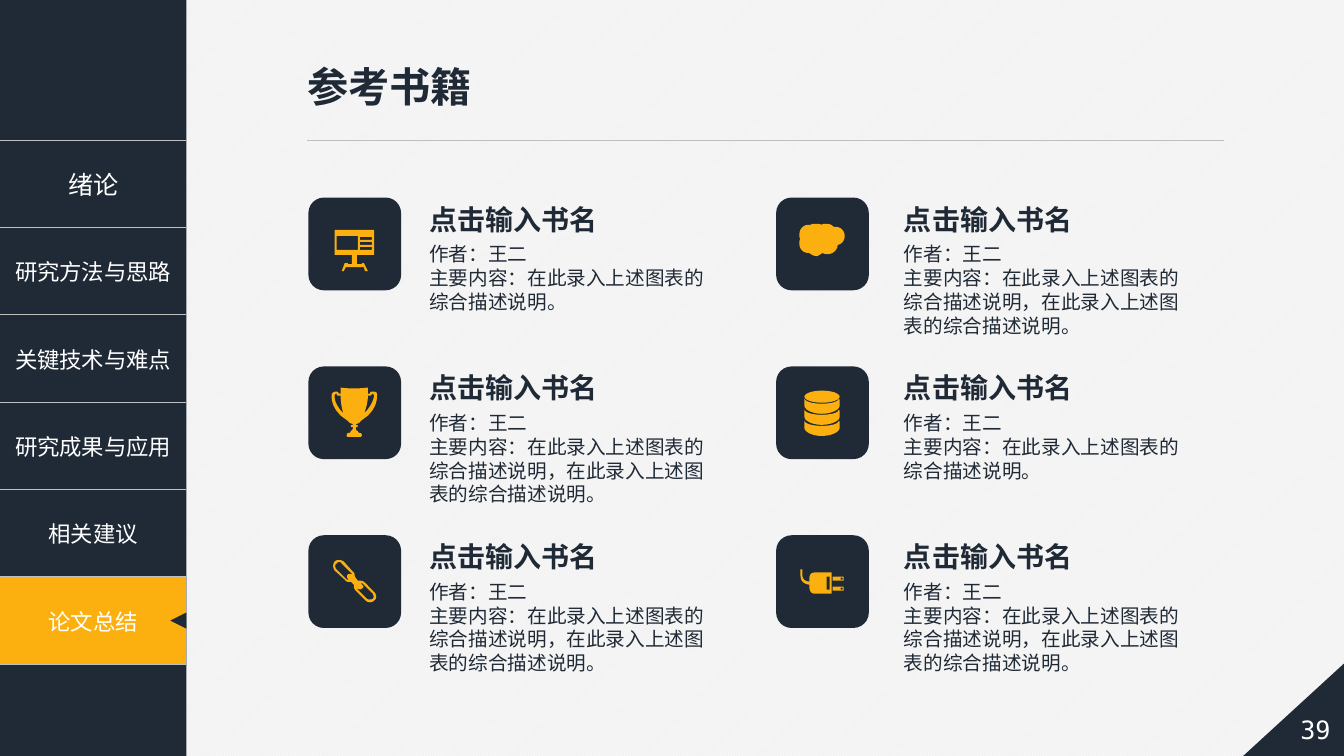
from lxml import etree
from pptx import Presentation
from pptx.dml.color import RGBColor
from pptx.enum.dml import MSO_PATTERN
from pptx.enum.lang import MSO_LANGUAGE_ID
from pptx.enum.shapes import MSO_CONNECTOR, MSO_SHAPE
from pptx.enum.text import MSO_ANCHOR, PP_ALIGN
from pptx.oxml.ns import qn
from pptx.util import Inches, Pt

RECT, ROUND = MSO_SHAPE.RECTANGLE, MSO_SHAPE.ROUNDED_RECTANGLE
OVAL, ARROW = MSO_SHAPE.OVAL, MSO_SHAPE.ISOSCELES_TRIANGLE
CORNER = MSO_SHAPE.RIGHT_TRIANGLE
STRAIGHT = MSO_CONNECTOR.STRAIGHT
HATCH = MSO_PATTERN.LIGHT_UPWARD_DIAGONAL
CHINESE = MSO_LANGUAGE_ID.SIMPLIFIED_CHINESE
LEFT, CENTER = PP_ALIGN.LEFT, PP_ALIGN.CENTER
TOP, MIDDLE = MSO_ANCHOR.TOP, MSO_ANCHOR.MIDDLE

WIDTH, HEIGHT = Inches(13.33), Inches(7.5)
COLS, ROWS = 160, 90
NAVY, GOLD, WHITE, GREY, PALE = "202A36", "FCB00F", "FFFFFF", "BFBFBF", "F2F2F2"
SANS, MONO = "Noto Sans CJK SC", "DejaVu Sans Mono"

SIDE = 22.2
RULE = 16.68
STEP = 10.4
TILE = 11.04
TILE_X, TEXT_X = (36.72, 92.4), (49.92, 106.44)
TILE_Y, PITCH = 23.52, 20.1
FINE = 100
STEPS = 6

MENU = ["绪论", "研究方法与思路", "关键技术与难点", "研究成果与应用", "相关建议", "论文总结"]
SHORT = "主要内容：在此录入上述图表的综合描述说明。"
LONG = "主要内容：在此录入上述图表的综合描述说明，在此录入上述图表的综合描述说明。"


def box(x, y, w, h):
    return f"{x} {y};{x + w} {y};{x + w} {y + h};{x} {y + h}"


def band(y):
    return (f"62 {y};62 {y + 3} 55 {y + 5} 45 {y + 5};36 {y + 5} 29 {y + 3} 28 {y};28 {y + 7};"
            f"28 {y + 11} 36 {y + 15} 45 {y + 15};55 {y + 15} 63 {y + 11} 63 {y + 7};63 {y + 1}")


BOARD = ["65 57;65 32;26 32;26 57;43 57;43 66;39 66;39 65;36 65;33 73;35 73;37 69;55 69;"
         "56 73;59 73;55 65;53 65;53 66;48 66;48 57",
         *[box(51, y, 12, 3) for y in (39, 44, 49)], box(28, 38, 21, 14)]
CLOUD = ["68 38;68 33 64 29 59 29;57 29;55 27 53 26 50 26;48 26 46 26 45 27;43 26 41 26 40 26;"
         "37 26 36 26 34 27;32 27;27 27 23 31 23 37;23 38 23 40 24 41;23 42 23 44 23 46;"
         "23 51 27 55 32 55;33 55;34 56 37 58 40 58;42 58 44 56 46 55;48 56 49 56 52 56;"
         "56 56 61 52 61 47;65 46 68 43 68 38"]
CUP = ["52 54;69 44 68 30 68 30;68 29;68 29 69 25 65 25;63 25;61 25 61 27 61 27;59 27;59 21;"
       "43 23 32 21 32 21;32 27;30 27;30 27 30 25 28 25;27 25;23 25 23 29 23 29;23 30;"
       "23 30 22 44 39 54;39 54 41 57 44 57;44 58;44 58 42 58 42 59;42 61 44 60 44 60;44 62;"
       "44 62 43 64 42 64;42 66 40 66 40 66;40 66 38 66 38 68;38 68 37 70 40 70;51 70;"
       "53 70 53 68 53 68;53 68 53 66 51 66;49 66 49 64 49 64;49 64 47 64 47 62;47 60;"
       "47 60 49 61 49 59;49 58 47 58 47 58;47 57;49 57 51 56 52 54",
       "59 29;61 29;63 29 63 27 63 27;65 27 65 29 65 29;65 30;65 30 64 38 55 47;57 43 59 35 59 29",
       "35 47;26 38 26 31 26 31;26 29;26 29 26 27 28 27;28 27 28 29 29 29;32 29;32 35 33 43 35 47"]
CHAIN = ["65 56;56 47;54 45 52 45 49 45;46 41;46 40 46 37 44 36;35 26;32 24 28 24 26 26;"
         "24 29 24 32 26 35;36 44;37 46 40 47 42 46;45 49;45 51 45 53 47 55;57 65;"
         "59 67 63 67 65 65;68 63 68 59 65 56",
         "37 43;28 34;26 32 26 29 28 28;29 26 32 26 33 28;42 37;43 37 43 39 43 39;"
         "42 38 40 38 39 39;38 40 38 42 39 43;40 44;39 44 37 44 37 43",
         "64 63;62 64 59 64 58 63;49 54;48 53 48 52 48 52;49 53;51 54 52 54 53 53;"
         "55 52 55 50 53 49;52 47;53 47 54 48 55 49;63 57;65 59 65 62 64 63"]
PLUG = ["33 42;33 46;26 46 26 40 26 40;26 34;24 34;24 40;24 49 33 49 33 49;33 52;"
        "33 52 33 58 38 58;55 58;55 37;38 37;33 37 33 42 33 42", box(50, 41, 3, 13)]
PRONGS = [[box(56, y, 11, 4), box(64, y + 1, 2, 2)] for y in (41, 51)]

BOOKS = [
    (0, 0, [BOARD], SHORT), (1, 0, [CLOUD], LONG),
    (0, 1, [CUP], LONG), (1, 1, [[band(y)] for y in (32, 43, 54)], SHORT),
    (0, 2, [CHAIN], LONG), (1, 2, [PLUG, *PRONGS], LONG),
]


def hue(code):
    return RGBColor.from_string(code)


def across(n):
    return round(WIDTH * n / COLS)


def down(n):
    return round(HEIGHT * n / ROWS)


def area(x, y, w, h):
    return across(x), down(y), across(w), down(h)


def write(frame, lines, size, tint, font=SANS, bold=False, align=LEFT, lead=None):
    frame.text = "\n".join(lines)
    for para in frame.paragraphs:
        para.alignment = align
        if lead:
            para.line_spacing = Pt(lead)
        for run in para.runs:
            run.font.size, run.font.bold, run.font.name = Pt(size), bold, font
            run.font.color.rgb = hue(tint)
            run.font.language_id = CHINESE
            etree.SubElement(run.font._element, qn("a:ea"), typeface=font)


def paint(shape, tint):
    shape.shadow.inherit = False
    shape.fill.solid()
    shape.fill.fore_color.rgb = hue(tint)
    shape.line.fill.background()
    return shape


def solid(slide, kind, spot, tint):
    return paint(slide.shapes.add_shape(kind, *area(*spot)), tint)


def label(slide, spot, lines, size, tint, wrap=True, anchor=TOP, **style):
    frame = slide.shapes.add_textbox(*area(*spot)).text_frame
    frame.word_wrap, frame.vertical_anchor = wrap, anchor
    write(frame, lines, size, tint, **style)


def trace(outline):
    points = []
    for part in outline.split(";"):
        nums = [int(n) * FINE for n in part.split()]
        pairs = list(zip(nums[::2], nums[1::2]))
        if len(pairs) == 1:
            points += pairs
            continue
        a, (b, c, d) = points[-1], pairs
        for i in range(1, STEPS + 1):
            t = i / STEPS
            s = 1 - t
            points.append(tuple(s**3 * a[k] + 3 * s * s * t * b[k] + 3 * s * t * t * c[k] + t**3 * d[k]
                                for k in (0, 1)))
    return points


def icon(slide, x, y, outlines):
    first, *rest = [trace(line) for line in outlines]
    pen = slide.shapes.build_freeform(*first[0], scale=Inches(0.01) / FINE)
    pen.add_line_segments(first[1:])
    for points in rest:
        pen.move_to(*points[0])
        pen.add_line_segments(points[1:])
    paint(pen.convert_to_shape(across(x), down(y)), GOLD)


def edge(cell):
    props = cell._tc.get_or_add_tcPr()
    for i, side in enumerate(("lnL", "lnR", "lnT", "lnB")):
        line = etree.Element(qn("a:" + side), w=str(Pt(1)))
        if side in ("lnT", "lnB"):
            fill = etree.SubElement(line, qn("a:solidFill"))
            etree.SubElement(fill, qn("a:srgbClr"), val=GREY)
        else:
            etree.SubElement(line, qn("a:noFill"))
        props.insert(i, line)


def menu(slide):
    solid(slide, RECT, (0, 0, SIDE, ROWS), NAVY)
    spot = area(0, RULE, SIDE, STEP * len(MENU))
    table = slide.shapes.add_table(len(MENU), 1, *spot).table
    table.first_row = table.horz_banding = False
    for i, name in enumerate(MENU):
        cell = table.cell(i, 0)
        cell.fill.solid()
        cell.fill.fore_color.rgb = hue(GOLD if name == MENU[-1] else NAVY)
        cell.vertical_anchor = MIDDLE
        write(cell.text_frame, [name], 16 if i else 18, WHITE, align=CENTER)
        edge(cell)
    mark = solid(slide, ARROW, (SIDE - 1.92, RULE + STEP * 5.5 - 0.96, 1.92, 1.92), NAVY)
    mark.rotation = 270


def head(slide):
    title = slide.shapes.title
    title.left, title.top, title.width, title.height = area(35.4, 6.72, SIDE, 7.08)
    frame = title.text_frame
    frame.word_wrap, frame.vertical_anchor = False, MIDDLE
    write(frame, ["参考书籍"], 29.4, NAVY, font="Arial", bold=True)
    y = down(RULE)
    rule = slide.shapes.add_connector(STRAIGHT, across(36.6), y, across(145.7), y)
    rule.line.color.rgb, rule.line.width = hue(GREY), Pt(0.5)
    etree.SubElement(rule._element.spPr, qn("a:effectLst"))


def book(slide, col, row, parts, note):
    x, y, left = TILE_X[col], TILE_Y + PITCH * row, TEXT_X[col]
    solid(slide, ROUND, (x, y, TILE, TILE), NAVY)
    for part in parts:
        icon(slide, x, y, part)
    if (col, row) == (1, 1):
        solid(slide, OVAL, (x + 3.36, y + 2.88, 4.2, 1.44), GOLD)
    label(slide, (left, y - 0.12, 22.56, 5.28), ["点击输入书名"], 20, NAVY,
          wrap=False, bold=True, lead=24.4)
    tall = 12.48 if note == LONG else 9.72
    label(slide, (left, y + 4.68, 35.64, tall), ["作者：王二", note], 14, NAVY, lead=17)


def foot(slide):
    fold = solid(slide, CORNER, (148, 79, 12, 11), NAVY)
    fold._element.spPr.find(qn("a:xfrm")).set("flipH", "1")
    label(slide, (153.2, 83.64, 6.8, 6.36), ["39"], 18, WHITE, wrap=False,
          anchor=MIDDLE, font=MONO, align=CENTER)


def main():
    deck = Presentation()
    deck.slide_width, deck.slide_height = WIDTH, HEIGHT
    slide = deck.slides.add_slide(deck.slide_layouts[5])
    fill = slide.background.fill
    fill.patterned()
    fill.pattern = HATCH
    fill.fore_color.rgb, fill.back_color.rgb = hue(WHITE), hue(PALE)
    menu(slide)
    head(slide)
    for item in BOOKS:
        book(slide, *item)
    foot(slide)
    deck.save("out.pptx")


if __name__ == "__main__":
    main()
